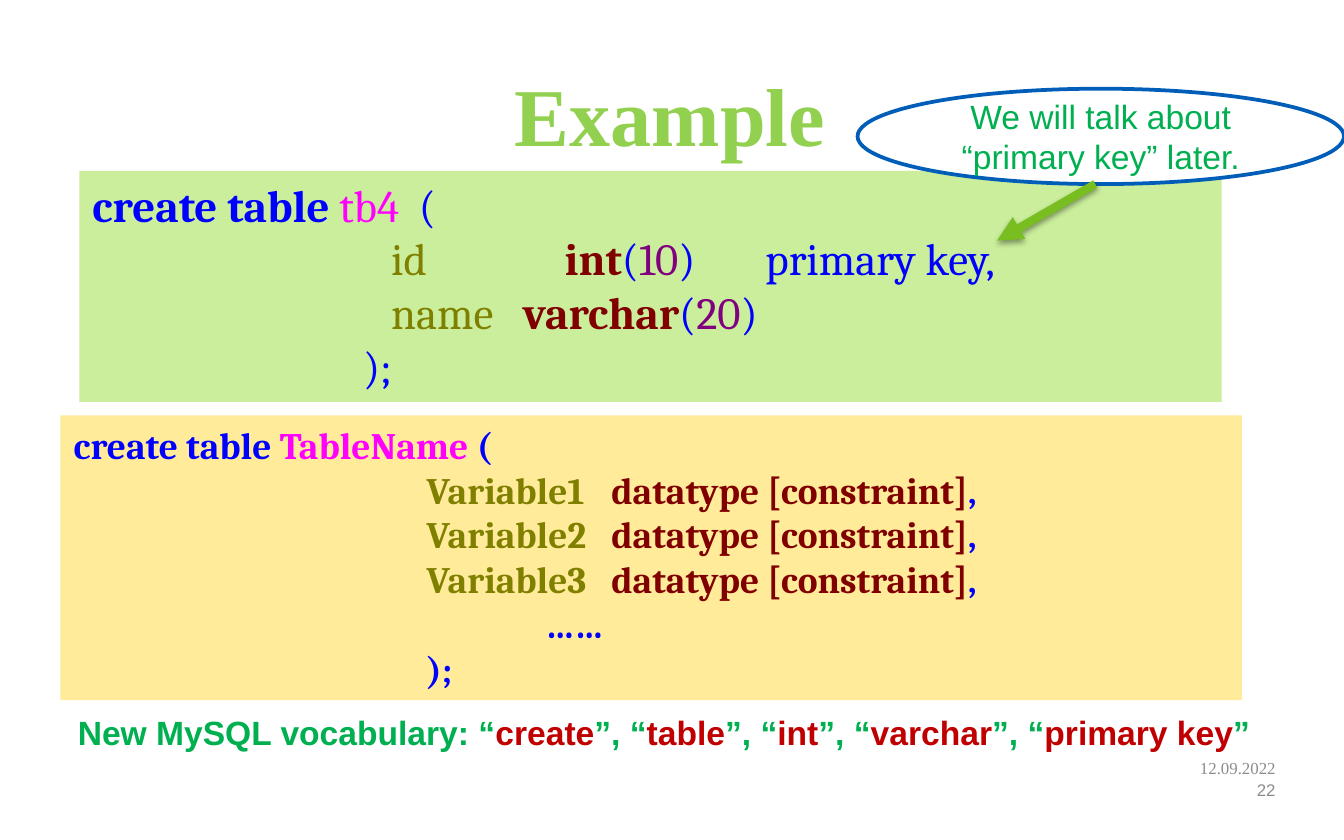
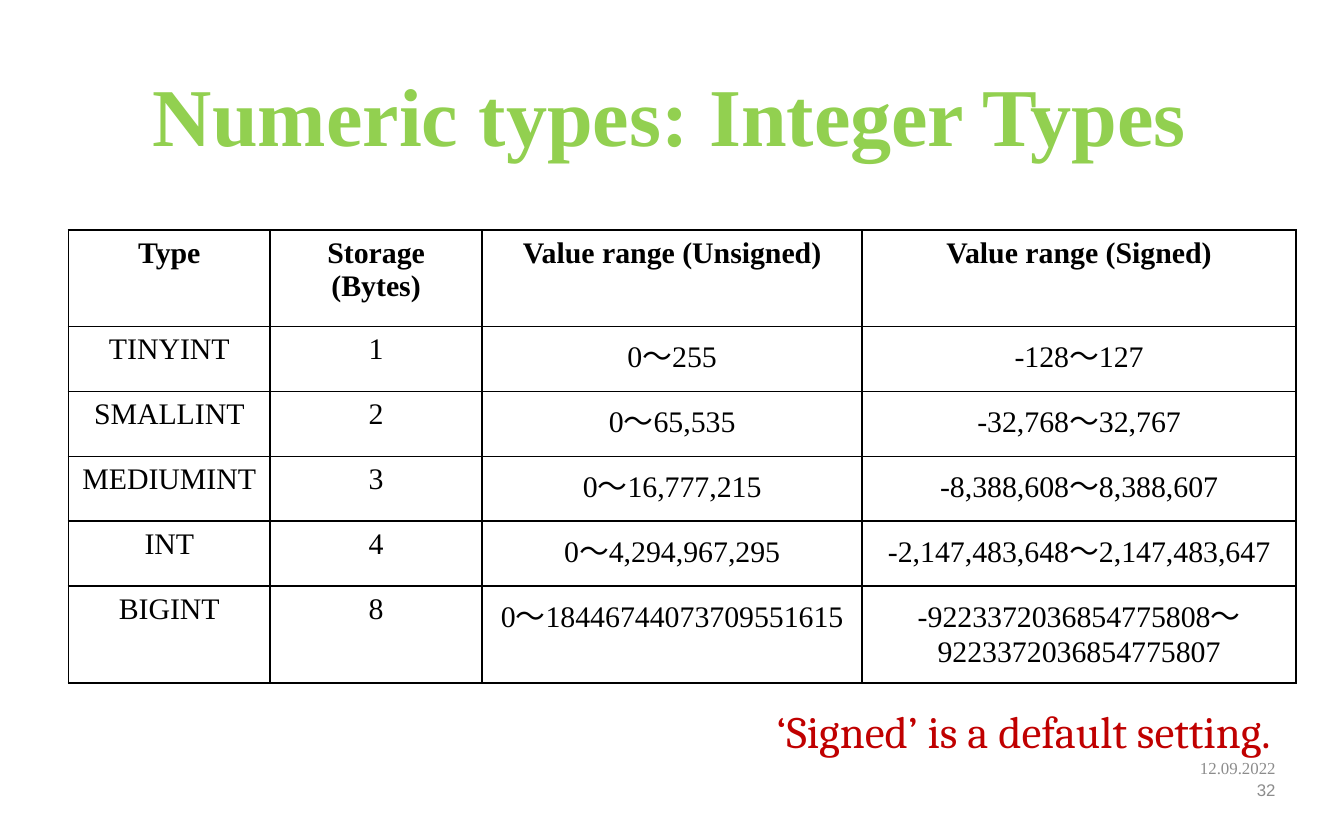
from lxml import etree
from pptx import Presentation
from pptx.dml.color import RGBColor
from pptx.enum import shapes as kinds, text as txt
from pptx.oxml.ns import qn
from pptx.util import Pt

SERIF, SANS, CODE = "Times New Roman", "Arial", "Cambria"
LIME, GREY, BLACK, WHITE = "92D050", "8C8C8C", "000000", "FFFFFF"
GREEN, RED = "00B050", "C00000"
KEY, NAME, FIELD, KIND, NUM = "0000FF", "FF00FF", "808000", "800000", "800080"
LEFT, MID, RIGHT = txt.PP_ALIGN.LEFT, txt.PP_ALIGN.CENTER, txt.PP_ALIGN.RIGHT
DATE = "12.09.2022"

# Code lines: tab stops, then runs of (text, colour, bold)
EXAMPLE = [
    ([], [("create table ", KEY, True), ("tb4  ", NAME), ("(", KEY)]),
    ([160, 253, 360.5], [("\tid\t", FIELD), ("int", KIND, True), ("(", KEY),
                         ("10", NUM), (")\tprimary key,", KEY)]),
    ([160, 230.5], [("\tname\t", FIELD), ("varchar", KIND, True), ("(", KEY),
                    ("20", NUM), (")", KEY)]),
    ([145], [("\t);", KEY)]),
]
SYNTAX = [
    ([], [("create table ", KEY), ("TableName ", NAME), ("(", KEY)]),
    *[([189, 288], [(f"\tVariable{n}\t", FIELD),
                    ("datatype [constraint]", KIND), (",", KEY)])
      for n in (1, 2, 3)],
    ([253], [("\t……", KEY)]),
    ([189], [("\t);", KEY)]),
]
NOTE = "We will talk about “primary key” later."
WORDS = ["create", "table", "int", "varchar", "primary key"]

TYPES = [
    ("Type", "Storage (Bytes)", "Value range (Unsigned)", "Value range (Signed)"),
    ("TINYINT", "1", "0～255", "-128～127"),
    ("SMALLINT", "2", "0～65,535", "-32,768～32,767"),
    ("MEDIUMINT", "3", "0～16,777,215", "-8,388,608～8,388,607"),
    ("INT", "4", "0～4,294,967,295", "-2,147,483,648～2,147,483,647"),
    ("BIGINT", "8", "0～18446744073709551615",
     "-9223372036854775808～9223372036854775807"),
]
COLS = [108, 113.6, 203.6, 232.4]
ROWS = [51.8] + [34.8] * 4 + [51.8]


def rgb(code):
    return RGBColor.from_string(code)


def node(parent, tag, **attrs):
    item = etree.SubElement(parent, qn(tag))
    for key, value in attrs.items():
        item.set(key, str(value))
    return item


def write(frame, content, size=18, font=SANS, color=BLACK, bold=False,
          align=LEFT):
    """Fill a frame with a string or with lines of (tab stops, runs)."""
    lines = [([], [(content, color)])] if isinstance(content, str) else content
    for i, (stops, runs) in enumerate(lines):
        para = frame.add_paragraph() if i else frame.paragraphs[0]
        para.alignment = align
        if stops:
            tabs = node(para._p.get_or_add_pPr(), "a:tabLst")
            for stop in stops:
                node(tabs, "a:tab", pos=int(Pt(stop)), algn="l")
        for words, tint, *strong in runs:
            run = para.add_run()
            run.text = words
            run.font.size, run.font.name = Pt(size), font
            run.font.bold = bold or bool(strong)
            run.font.color.rgb = rgb(tint)


def label(slide, at, content, anchor=txt.MSO_ANCHOR.TOP, wrap=True, right=7.2,
          **style):
    box = slide.shapes.add_textbox(*map(Pt, at))
    frame = box.text_frame
    frame.word_wrap, frame.vertical_anchor = wrap, anchor
    frame.margin_right = Pt(right)
    write(frame, content, **style)


def panel(slide, kind, at, fill, content, line=None, **style):
    """Add a filled shape with text and return it."""
    form = slide.shapes.add_shape(kind, *map(Pt, at))
    form.shadow.inherit = False
    form.fill.solid()
    form.fill.fore_color.rgb = rgb(fill)
    if line:
        form.line.color.rgb, form.line.width = rgb(line), Pt(2)
    else:
        form.line.fill.background()
    form.text_frame.word_wrap = True
    form.text_frame.vertical_anchor = txt.MSO_ANCHOR.TOP
    write(form.text_frame, content, **style)
    return form


def arrow(slide, start, end):
    link = slide.shapes.add_connector(
        kinds.MSO_CONNECTOR.STRAIGHT, *map(Pt, start + end))
    link.line.color.rgb, link.line.width = rgb("78BE20"), Pt(4.5)
    node(link.line._get_or_add_ln(), "a:tailEnd", type="triangle")
    effect = node(link._element.spPr, "a:effectLst")
    shade = node(effect, "a:outerShdw", blurRad=int(Pt(3.1)),
                 dist=int(Pt(1.6)), dir=90 * 60000, rotWithShape=0)
    node(node(shade, "a:srgbClr", val=BLACK), "a:alpha", val=38000)


def border(cell):
    props = cell._tc.get_or_add_tcPr()
    for i, side in enumerate("LRTB"):
        edge = node(props, f"a:ln{side}", w=int(Pt(1)))
        node(node(edge, "a:solidFill"), "a:srgbClr", val=BLACK)
        props.insert(i, edge)


def grid(slide, left, top):
    table = slide.shapes.add_table(
        len(ROWS), len(COLS), Pt(left), Pt(top),
        Pt(sum(COLS)), Pt(sum(ROWS))).table
    table.first_row = table.horz_banding = False
    for col, width in zip(table.columns, COLS):
        col.width = Pt(width)
    for r, (row, height) in enumerate(zip(table.rows, ROWS)):
        row.height = Pt(height)
        for cell, words in zip(row.cells, TYPES[r]):
            cell.fill.background()
            border(cell)
            write(cell.text_frame, words, size=16, font=SERIF, bold=r == 0,
                  align=MID)


def page(deck, title, number):
    """Add a slide with its title, date and number."""
    slide = deck.slides.add_slide(deck.slide_layouts[6])
    middle = txt.MSO_ANCHOR.MIDDLE
    label(slide, (34, 26.6, 650, 68.4), title, anchor=middle, size=44,
          font=SERIF, color=LIME, bold=True, align=MID)
    for top, high, words, font in ((405.4, 12.2, DATE, SERIF),
                                   (417.6, 10.8, number, SANS)):
        label(slide, (398, top, 285.3, high), words, anchor=middle, right=0,
              size=9, font=font, color=GREY, align=RIGHT)
    return slide


def example(deck):
    slide = page(deck, "Example", "22")
    rect, oval = kinds.MSO_SHAPE.RECTANGLE, kinds.MSO_SHAPE.OVAL
    panel(slide, rect, (42.5, 91.5, 612, 123.8), "CAEE9C", EXAMPLE,
          size=24, font=CODE)
    bubble = panel(slide, oval, (459.4, 47.5, 260.6, 51.1), WHITE, NOTE,
                   line="005EB8", color=GREEN, align=MID).text_frame
    bubble.vertical_anchor = txt.MSO_ANCHOR.MIDDLE
    bubble.margin_left = bubble.margin_right = 0
    bubble.margin_top = bubble.margin_bottom = 0
    arrow(slide, (586.8, 98.6), (534.2, 128.9))
    panel(slide, rect, (32.4, 222.5, 632.9, 152.6), "FFEB99", SYNTAX,
          size=20, font=CODE, bold=True)
    runs = [("New MySQL vocabulary: “", GREEN)]
    for word in WORDS:
        runs += [(word, RED), ("”, “", GREEN)]
    runs[-1] = ("”", GREEN)
    label(slide, (34.6, 378, 648, 36), [([], runs)], wrap=False, bold=True)


def numbers(deck):
    slide = page(deck, "Numeric types: Integer Types", "32")
    grid(slide, 36.7, 123.1)
    label(slide, (409, 373.7, 290.9, 36), "‘Signed’ is a default setting.",
          wrap=False, size=24, font=CODE, color=RED)


def main():
    deck = Presentation()
    deck.slide_width, deck.slide_height = Pt(720), Pt(450)
    example(deck)
    numbers(deck)
    deck.save("out.pptx")


if __name__ == "__main__":
    main()
